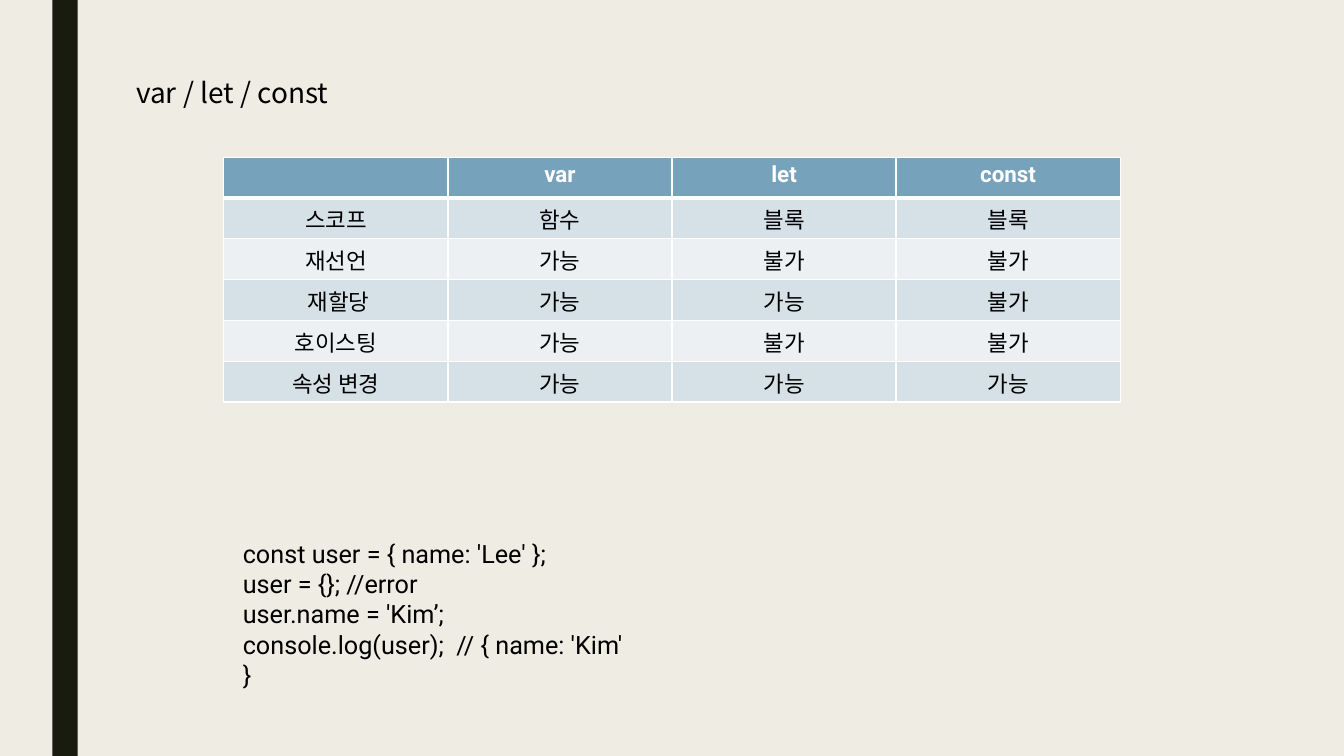
from lxml import etree
from pptx import Presentation
from pptx import util as u
from pptx.dml.color import RGBColor
from pptx.enum import shapes, text
from pptx.oxml.ns import qn

COLORS = {
    "background": "EFEDE3",
    "bar": "191B0E",
    "header": "77A2BB",
    "band_dark": "D6E0E7",
    "band_light": "ECF0F3",
    "white": "FFFFFF",
    "black": "000000",
}
SANS = "Noto Sans CJK KR"
ROBOTO = "Roboto"

ROWS = [
    ["", "var", "let", "const"],
    ["스코프", "함수", "블록", "블록"],
    ["재선언", "가능", "불가", "불가"],
    [" 재할당", "가능", "가능", "불가"],
    ["호이스팅", "가능", "불가", "불가"],
    ["속성 변경", "가능", "가능", "가능"],
]
CODE = [
    "const user = { name: 'Lee' }; ",
    "user = {}; //error",
    "user.name = 'Kim’; ",
    "console.log(user);  // { name: 'Kim' }",
]


def rgb(name):
    return RGBColor.from_string(COLORS[name])


def box(left, top, width, height):
    return [u.Inches(v) for v in (left, top, width, height)]


def style_text(tf, size, font, color="black", bold=False, align=text.PP_ALIGN.LEFT):
    for p in tf.paragraphs:
        p.alignment = align
        for r in p.runs:
            r.font.size = u.Pt(size)
            r.font.name = font
            r.font.bold = bold
            r.font.color.rgb = rgb(color)
            ea = etree.SubElement(r.font._element, qn("a:ea"))
            ea.set("typeface", SANS)


def add_bar(s):
    sp = s.shapes.add_shape(shapes.MSO_SHAPE.RECTANGLE, *box(0.52, 0, 0.25, 7.5))
    sp.shadow.inherit = False
    sp.fill.solid()
    sp.fill.fore_color.rgb = rgb("bar")
    sp.line.fill.background()


def set_title(s, title):
    sp = s.shapes.title
    sp.left, sp.top, sp.width, sp.height = box(1.25, 0.7, 2.14, 0.44)
    tf = sp.text_frame
    tf.text = title
    tf.word_wrap = False
    tf.auto_size = text.MSO_AUTO_SIZE.SHAPE_TO_FIT_TEXT
    tf.vertical_anchor = text.MSO_ANCHOR.TOP
    style_text(tf, 20, SANS)


def add_code(s, lines):
    tf = s.shapes.add_textbox(*box(2.31, 5.29, 4.02, 1.31)).text_frame
    tf.text = "\n".join(lines)
    tf.word_wrap = True
    tf.auto_size = text.MSO_AUTO_SIZE.SHAPE_TO_FIT_TEXT
    style_text(tf, 18, ROBOTO)


def set_borders(cell, top, bottom):
    tc_pr = cell._tc.get_or_add_tcPr()
    widths = {"a:lnL": 1, "a:lnR": 1, "a:lnT": top, "a:lnB": bottom}
    for i, (tag, width) in enumerate(widths.items()):
        ln = etree.Element(qn(tag), w=str(u.Pt(width)))
        fill = etree.SubElement(ln, qn("a:solidFill"))
        etree.SubElement(fill, qn("a:srgbClr"), val=COLORS["white"])
        tc_pr.insert(i, ln)


def add_comparison(s, rows):
    frame = s.shapes.add_table(len(rows), len(rows[0]), *box(2.22, 1.56, 8.89, 2.43))
    for i, row in enumerate(rows):
        header = i == 0
        fill = "header" if header else "band_dark" if i % 2 else "band_light"
        for j, value in enumerate(row):
            cell = frame.table.cell(i, j)
            cell.text = value
            cell.fill.solid()
            cell.fill.fore_color.rgb = rgb(fill)
            set_borders(cell, 3 if i == 1 else 1, 3 if header else 1)
            style_text(cell.text_frame, 16, ROBOTO, "white" if header else "black",
                       header, text.PP_ALIGN.CENTER)


def main():
    prs = Presentation()
    prs.slide_width, prs.slide_height = u.Inches(13.33), u.Inches(7.5)
    s = prs.slides.add_slide(prs.slide_layouts[5])
    s.background.fill.solid()
    s.background.fill.fore_color.rgb = rgb("background")
    add_bar(s)
    set_title(s, "var / let / const")
    add_code(s, CODE)
    add_comparison(s, ROWS)
    prs.save("out.pptx")


main()
